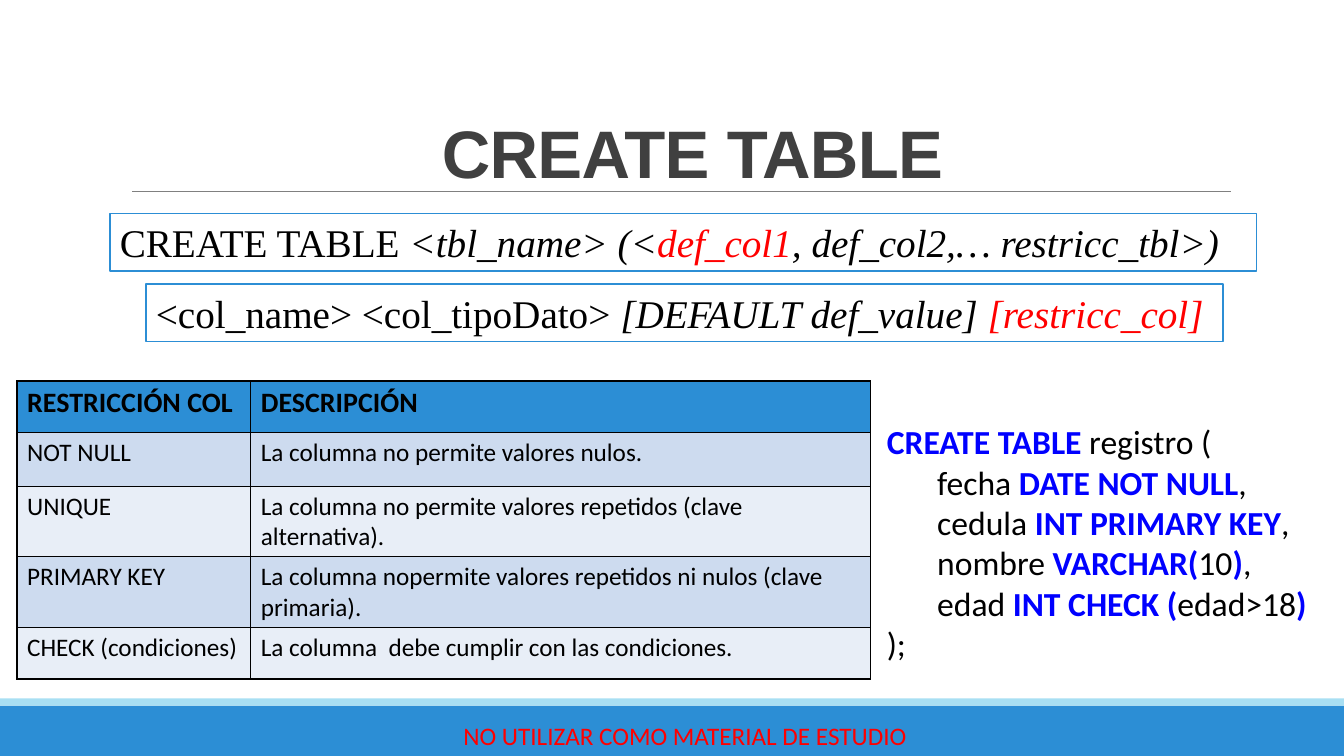
from lxml import etree
from pptx import Presentation
from pptx.dml.color import RGBColor
from pptx.enum.shapes import MSO_CONNECTOR, MSO_SHAPE
from pptx.enum.text import MSO_ANCHOR, PP_ALIGN
from pptx.oxml.ns import qn
from pptx.util import Cm, Pt

RECT, LINE = MSO_SHAPE.RECTANGLE, MSO_CONNECTOR.STRAIGHT
TOP, MIDDLE, BOTTOM = MSO_ANCHOR.TOP, MSO_ANCHOR.MIDDLE, MSO_ANCHOR.BOTTOM
LEFT, CENTER = PP_ALIGN.LEFT, PP_ALIGN.CENTER
WIDTH, HEIGHT = 33.87, 19.05
BLUE, SKY, GREY, DARK = "2C8ED5", "A8DFF3", "808080", "404040"
BLACK, WHITE, RED, KEYWORD = "000000", "FFFFFF", "FF0000", "0000FF"
BANDS = ["CDDBEF", "E8EEF7"]

TABLE_SYNTAX = [("CREATE TABLE ", {}), ("<tbl_name> (<", {"italic": True}),
                ("def_col1", {"italic": True, "color": RED}),
                (", def_col2,… restricc_tbl>)", {"italic": True})]
COLUMN_SYNTAX = [("<col_name> <col_tipoDato>", {}),
                 (" [DEFAULT def_value] ", {"italic": True}),
                 ("[restricc_col]", {"italic": True, "color": RED})]
CONSTRAINTS = [
    ("RESTRICCIÓN COL", "DESCRIPCIÓN"),
    ("NOT NULL", "La columna no permite valores nulos."),
    ("UNIQUE", "La columna no permite valores repetidos (clave alternativa)."),
    ("PRIMARY KEY", "La columna nopermite valores repetidos ni nulos (clave primaria)."),
    ("CHECK (condiciones)", "La columna  debe cumplir con las condiciones."),
]
COL_WIDTHS = [5.89, 15.62]
ROW_HEIGHTS = [1.3, 1.35, 1.78, 1.78, 1.3]
# Each line: indent level, then plain and keyword pieces in turn.
CODE = [
    (0, ["", "CREATE TABLE ", "registro ("]),
    (1, ["fecha ", "DATE NOT NULL", ","]),
    (1, ["cedula ", "INT PRIMARY KEY", ","]),
    (1, ["nombre ", "VARCHAR(", "10", ")", ","]),
    (1, ["edad ", "INT CHECK (", "edad>18", ")"]),
    (0, [");"]),
]


def rgb(color):
    return RGBColor.from_string(color)


def add_run(p, text, font="Calibri", size=18, color=BLACK, bold=False, italic=False):
    r = p.add_run()
    r.text = text
    r.font.name, r.font.size = font, Pt(size)
    r.font.bold, r.font.italic = bold, italic
    r.font.color.rgb = rgb(color)
    return r


def add_rect(s, x, y, w, h, fill, line=None):
    sp = s.shapes.add_shape(RECT, Cm(x), Cm(y), Cm(w), Cm(h))
    sp.shadow.inherit = False
    sp.fill.solid()
    sp.fill.fore_color.rgb = rgb(fill)
    if line:
        sp.line.color.rgb = rgb(line)
        sp.line.width = Pt(1.25)
    else:
        sp.line.fill.background()
    return sp


def add_text_box(s, x, y, w, h, anchor=TOP):
    tf = s.shapes.add_textbox(Cm(x), Cm(y), Cm(w), Cm(h)).text_frame
    tf.word_wrap = True
    tf.vertical_anchor = anchor
    return tf


def add_footer(s, x, y, w, h):
    strip = 0.18
    add_rect(s, x, y + strip, w, h - strip, BLUE)
    add_rect(s, x, y, w, strip, SKY)
    p = add_text_box(s, x + 10.57, y + 0.43, 13.39, 1.02, MIDDLE).paragraphs[0]
    p.alignment = CENTER
    add_run(p, "NO UTILIZAR COMO MATERIAL DE ESTUDIO", color=RED)


def add_title(s, x, y, w, h):
    """Fill the title placeholder and rule a line under it."""
    sp = s.shapes.title
    sp.left, sp.top, sp.width, sp.height = Cm(x), Cm(y), Cm(w), Cm(h)
    tf = sp.text_frame
    tf.word_wrap = True
    tf.vertical_anchor = BOTTOM
    p = tf.paragraphs[0]
    p.alignment, p.line_spacing = CENTER, 0.85
    r = add_run(p, "CREATE TABLE", font="Arial", size=48, color=DARK, bold=True)
    r.font._element.set("spc", "-50")
    rule_y = Cm(y + h - 0.15)
    rule = s.shapes.add_connector(LINE, Cm(x - 0.15), rule_y, Cm(x + w - 0.4), rule_y)
    rule.line.color.rgb = rgb(GREY)
    rule.line.width = Pt(0.5)
    etree.SubElement(rule._element.spPr, qn("a:effectLst"))


def add_syntax(s, x, y, w, h, pieces):
    tf = add_rect(s, x, y, w, h, WHITE, BLUE).text_frame
    tf.word_wrap = True
    tf.vertical_anchor = TOP
    p = tf.paragraphs[0]
    p.alignment = LEFT
    for text, style in pieces:
        add_run(p, text, font="Times New Roman", size=28, **style)


def add_borders(cell):
    """Draw all four borders; they must precede the cell fill in the XML."""
    tcPr = cell._tc.get_or_add_tcPr()
    for i, side in enumerate(("lnL", "lnR", "lnT", "lnB")):
        ln = etree.Element(qn(f"a:{side}"), w=str(Pt(1)))
        fill = etree.SubElement(ln, qn("a:solidFill"))
        etree.SubElement(fill, qn("a:srgbClr"), val=BLACK)
        tcPr.insert(i, ln)


def add_constraints(s, x, y, w, h):
    table = s.shapes.add_table(len(CONSTRAINTS), len(COL_WIDTHS),
                               Cm(x), Cm(y), Cm(w), Cm(h)).table
    for col, width in zip(table.columns, COL_WIDTHS):
        col.width = Cm(width)
    for i, (row, height) in enumerate(zip(table.rows, ROW_HEIGHTS)):
        row.height = Cm(height)
        header = i == 0
        for cell, text in zip(row.cells, CONSTRAINTS[i]):
            cell.fill.solid()
            cell.fill.fore_color.rgb = rgb(BLUE if header else BANDS[(i - 1) % 2])
            add_borders(cell)
            add_run(cell.text_frame.paragraphs[0], text,
                    size=20 if header else 18, bold=header)


def add_code(s, x, y, w, h):
    tf = add_text_box(s, x, y, w, h)
    for i, (level, pieces) in enumerate(CODE):
        p = tf.add_paragraph() if i else tf.paragraphs[0]
        pPr = p._p.get_or_add_pPr()
        pPr.set("marL", str(Cm(1.27 * level)))
        pPr.set("indent", "0")
        for j, text in enumerate(pieces):
            keyword = j % 2 == 1
            if text:
                add_run(p, text, size=24, bold=keyword,
                        color=KEYWORD if keyword else BLACK)


def main():
    prs = Presentation()
    prs.slide_width, prs.slide_height = Cm(WIDTH), Cm(HEIGHT)
    s = prs.slides.add_slide(prs.slide_layouts[5])
    add_footer(s, 0, 17.6, WIDTH, HEIGHT - 17.6)
    add_title(s, 3.48, 0.94, 27.94, 4.04)
    add_syntax(s, 2.77, 5.38, 28.9, 1.45, TABLE_SYNTAX)
    add_syntax(s, 3.68, 7.16, 27.15, 1.45, COLUMN_SYNTAX)
    add_constraints(s, 0.43, 9.6, sum(COL_WIDTHS), sum(ROW_HEIGHTS))
    add_code(s, 22.1, 10.49, 11.7, 6.4)
    prs.save("out.pptx")


if __name__ == "__main__":
    main()
